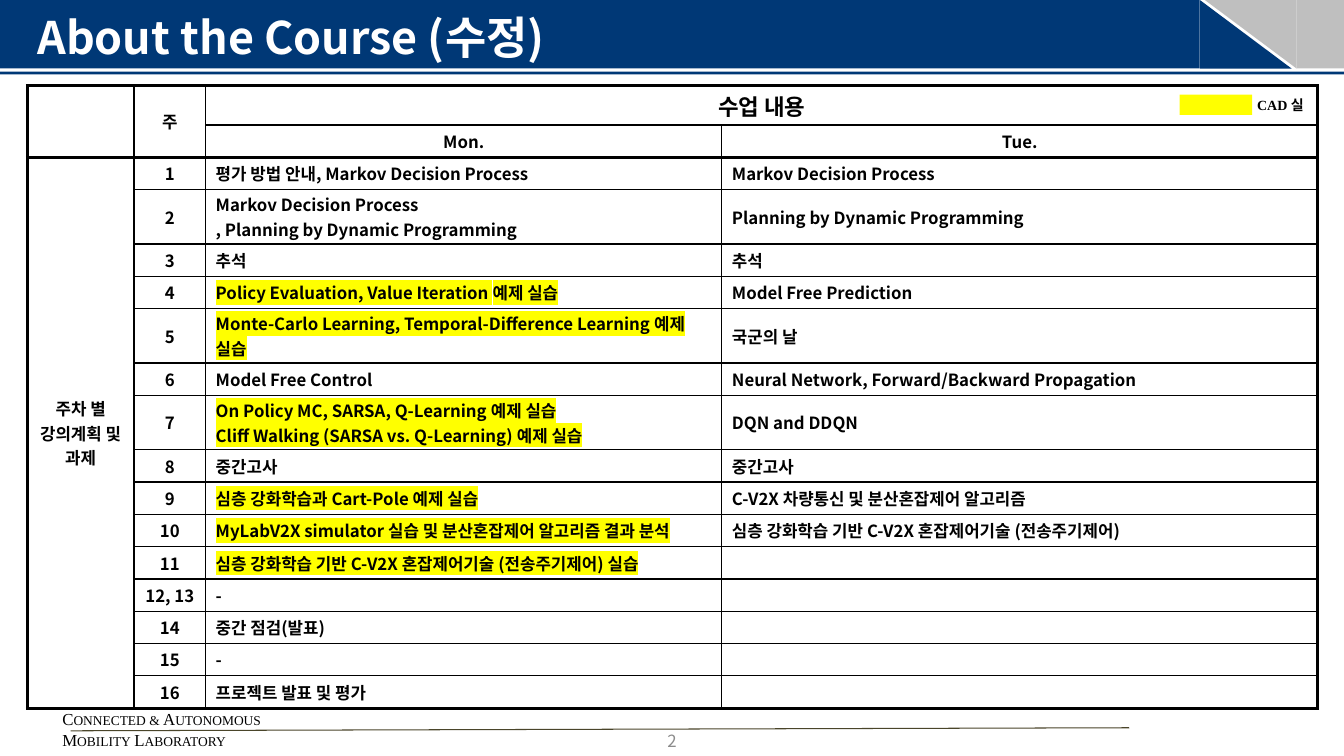
from lxml import etree
from pptx import Presentation, util as u
from pptx.dml.color import RGBColor
from pptx.enum import shapes, text
from pptx.oxml import ns

SANS, SERIF = "Noto Sans CJK KR", "Times New Roman"
NAVY, GRAY, YELLOW, BLACK, WHITE = "003876", "BFBFBF", "FFFF00", "000000", "FFFFFF"
LEFT, CENTER = text.PP_ALIGN.LEFT, text.PP_ALIGN.CENTER
W, H = 13.33, 7.5
COLS = [1.06, 0.71, 5.12, 5.91]
HEAD_H, TALL_H = 0.39, 0.54
PRACTICE = {"4", "5", "7", "9", "10", "11"}
TWO_LINES = {"2", "5", "7"}
WEEKS = [
    ("1", "평가 방법 안내, Markov Decision Process", "Markov Decision Process"),
    ("2", "Markov Decision Process\n, Planning by Dynamic Programming",
     "Planning by Dynamic Programming"),
    ("3", "추석", "추석"),
    ("4", "Policy Evaluation, Value Iteration 예제 실습", "Model Free Prediction"),
    ("5", "Monte-Carlo Learning, Temporal-Difference Learning 예제 실습", "국군의 날"),
    ("6", "Model Free Control", "Neural Network, Forward/Backward Propagation"),
    ("7", "On Policy MC, SARSA, Q-Learning 예제 실습\n"
          "Cliff Walking (SARSA vs. Q-Learning) 예제 실습", "DQN and DDQN"),
    ("8", "중간고사", "중간고사"),
    ("9", "심층 강화학습과 Cart-Pole 예제 실습", "C-V2X 차량통신 및 분산혼잡제어 알고리즘"),
    ("10", "MyLabV2X simulator 실습 및 분산혼잡제어 알고리즘 결과 분석",
     "심층 강화학습 기반 C-V2X 혼잡제어기술 (전송주기제어)"),
    ("11", "심층 강화학습 기반 C-V2X 혼잡제어기술 (전송주기제어) 실습", ""),
    ("12, 13", "-", ""),
    ("14", "중간 점검(발표)", ""),
    ("15", "-", ""),
    ("16", "프로젝트 발표 및 평가", ""),
]


def rgb(value):
    """Turn a hex string into a colour."""
    return RGBColor.from_string(value)


def inches(*lengths):
    """Turn lengths in inches into slide units."""
    return [u.Inches(n) for n in lengths]


def write(tf, words, size=12, font=SANS, color=BLACK, bold=True, align=LEFT,
          mark=None, small=False):
    """Fill a text frame, one paragraph per line of words."""
    for i, line in enumerate(words.split("\n")):
        p = tf.add_paragraph() if i else tf.paragraphs[0]
        p.alignment = align
        r = p.add_run()
        r.text = line
        r.font.size, r.font.bold, r.font.name = u.Pt(size), bold, font
        r.font.color.rgb = rgb(color)
        rPr = r._r.get_or_add_rPr()
        latin = rPr.find(ns.qn("a:latin"))
        if mark:
            hl = etree.Element(ns.qn("a:highlight"))
            etree.SubElement(hl, ns.qn("a:srgbClr"), val=mark)
            latin.addprevious(hl)
        latin.addnext(etree.Element(ns.qn("a:ea"), typeface=SANS))
        if small:
            rPr.set("cap", "small")


def block(s, kind, box, color, turn=0):
    """Draw a plain filled shape."""
    sp = s.shapes.add_shape(kind, *inches(*box))
    sp.shadow.inherit = False
    sp.fill.solid()
    sp.fill.fore_color.rgb = rgb(color)
    sp.line.fill.background()
    sp.rotation = turn


def label(s, box, words, **style):
    """Place a text box centred vertically in its box."""
    tf = s.shapes.add_textbox(*inches(*box)).text_frame
    tf.word_wrap = True
    tf.vertical_anchor = text.MSO_ANCHOR.MIDDLE
    write(tf, words, **style)


def header(s, x, y, w, h):
    """Draw the banner with its slanted corner and the title."""
    rect, tri = shapes.MSO_SHAPE.RECTANGLE, shapes.MSO_SHAPE.RIGHT_TRIANGLE
    slant, corner, gap = 0.91, 0.47, 0.05
    edge = x + w - corner
    bar = edge - slant - gap
    block(s, rect, (x, y, bar - x, h), NAVY)
    block(s, tri, (bar, y, slant, h), NAVY)
    block(s, rect, (edge, y, corner, h), GRAY)
    block(s, tri, (edge - slant, y, slant, h), GRAY, turn=180)
    block(s, rect, (x, y + h + 0.03, w, 0.03), NAVY)
    sp = s.shapes.title
    sp.left, sp.top, sp.width, sp.height = inches(x + 0.27, y + 0.04, 12.8, h - 0.04)
    tf = sp.text_frame
    tf.auto_size = text.MSO_AUTO_SIZE.NONE
    tf.vertical_anchor = text.MSO_ANCHOR.MIDDLE
    write(tf, "About the Course (수정)", size=32, color=WHITE)
    sp.element.getparent().append(sp.element)


def borders(cell, widths):
    """Set cell edges from a mapping of side to points."""
    tcPr = cell._tc.get_or_add_tcPr()
    for side, pt in widths.items():
        ln = etree.SubElement(tcPr, ns.qn("a:ln" + side), w=str(u.Pt(pt)))
        fill = etree.SubElement(ln, ns.qn("a:solidFill"))
        etree.SubElement(fill, ns.qn("a:srgbClr"), val=BLACK)


def edges(cell, row, col, last_row, last_col):
    """Give heavy edges to the outline and below the header."""
    rows, cols = (cell.span_height, cell.span_width) if cell.is_merge_origin else (1, 1)
    heavy = {"L": col == 0, "R": col + cols - 1 == last_col,
             "T": row in (0, 2), "B": row + rows - 1 in (1, last_row)}
    borders(cell, {side: 2.25 if thick else 1 for side, thick in heavy.items()
                   if thick or not cell.is_spanned})


def schedule(s, x, y, w, h):
    """Build the weekly table."""
    rows = [("", "주", "수업 내용", ""), ("", "", "Mon.", "Tue.")]
    rows += [("" if i else "주차 별 강의계획 및 과제", *week) for i, week in enumerate(WEEKS)]
    base = (h - HEAD_H - TALL_H * len(TWO_LINES)) / (len(rows) - 1 - len(TWO_LINES))
    frame = s.shapes.add_table(len(rows), len(COLS), *inches(x, y, w, h))
    tbl = frame.table
    tbl.first_row = tbl.horz_banding = False
    style = next(frame.element.iter(ns.qn("a:tableStyleId")))
    style.text = "{2D5ABB26-0587-4C30-8999-92F81FD0307C}"
    for col, width in zip(tbl.columns, COLS):
        col.width = u.Inches(width)
    last_row, last_col = len(rows) - 1, len(COLS) - 1
    for top, left, bottom, right in ((0, 0, 1, 0), (0, 1, 1, 1), (0, 2, 0, 3),
                                     (2, 0, last_row, 0)):
        tbl.cell(top, left).merge(tbl.cell(bottom, right))
    for r, row in enumerate(rows):
        height = HEAD_H if r == 0 else TALL_H if row[1] in TWO_LINES else base
        tbl.rows[r].height = u.Inches(height)
        for c, words in enumerate(row):
            cell = tbl.cell(r, c)
            edges(cell, r, c, last_row, last_col)
            cell.fill.solid()
            cell.fill.fore_color.rgb = rgb(WHITE)
            cell.vertical_anchor = text.MSO_ANCHOR.MIDDLE
            cell.margin_top = cell.margin_bottom = u.Inches(0.01)
            write(cell.text_frame, words, size=16 if (r, c) == (0, 2) else 12,
                  align=CENTER if r < 2 or c < 2 else LEFT,
                  mark=YELLOW if c == 2 and row[1] in PRACTICE else None)


def legend(s, x, y):
    """Draw the key for the marked sessions."""
    block(s, shapes.MSO_SHAPE.RECTANGLE, (x, y, 0.72, 0.2), YELLOW)
    label(s, (x + 0.67, y + 0.01, 0.69, 0.19), "CAD 실", size=10, font=SERIF)


def footer(s, x, y, w, h):
    """Draw the rule, page number and laboratory name."""
    ln = s.shapes.add_connector(shapes.MSO_CONNECTOR.STRAIGHT,
                                *inches(x + 11.2, y + 0.18, x + 0.7, y + 0.21))
    ln.line.color.rgb, ln.line.width = rgb("4A452A"), u.Pt(0.75)
    etree.SubElement(ln.element.spPr, ns.qn("a:effectLst"))
    label(s, (x + (w - 1.45) / 2, y + 0.16, 1.45, 0.3), "2", color="8C8C8C",
          bold=False, align=CENTER)
    label(s, (x + 0.52, y, 2.4, h), "Connected & Autonomous\nMobility Laboratory",
          font=SERIF, bold=False, small=True)


def main():
    """Build and save the slide."""
    prs = Presentation()
    prs.slide_width, prs.slide_height = inches(W, H)
    s = prs.slides.add_slide(prs.slide_layouts[5])
    header(s, 0, 0, W, 0.68)
    footer(s, 0, 7.04, W, 0.39)
    schedule(s, 0.27, 0.85, sum(COLS), 6.18)
    legend(s, 11.7, 0.94)
    prs.save("out.pptx")


if __name__ == "__main__":
    main()
